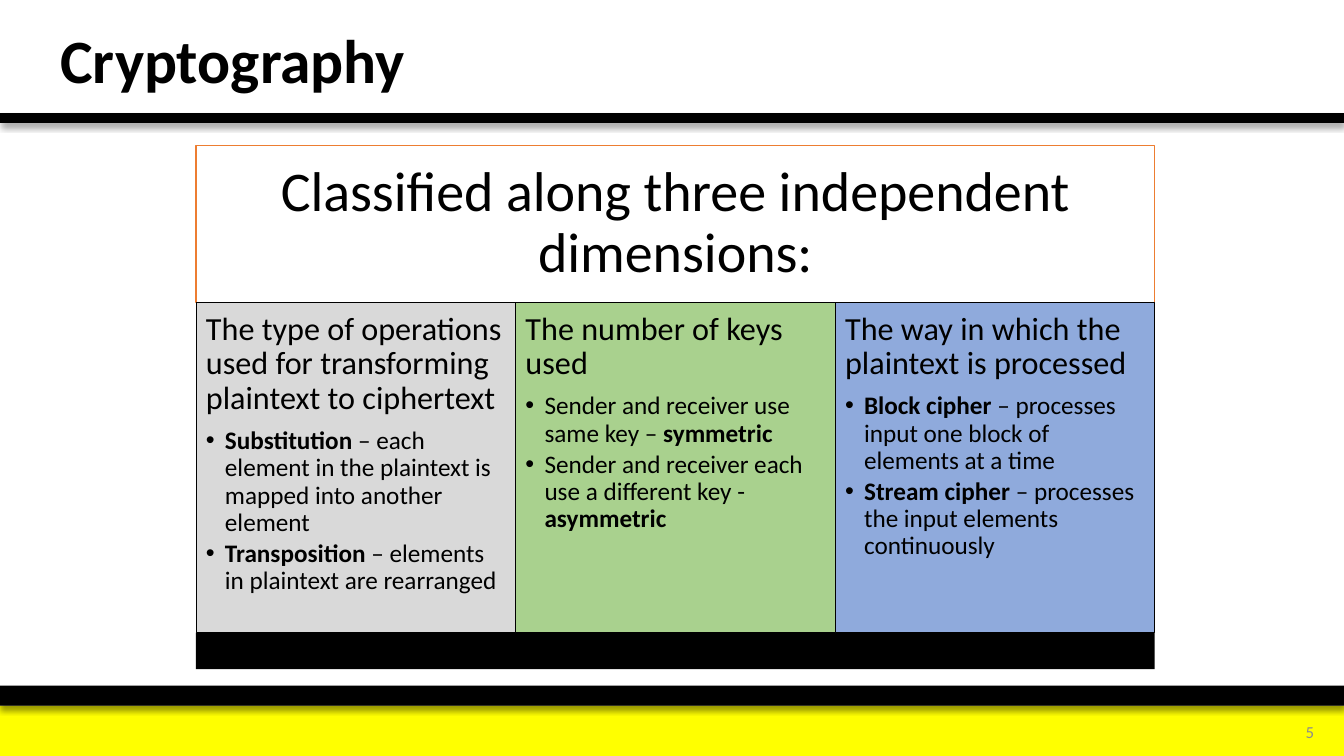
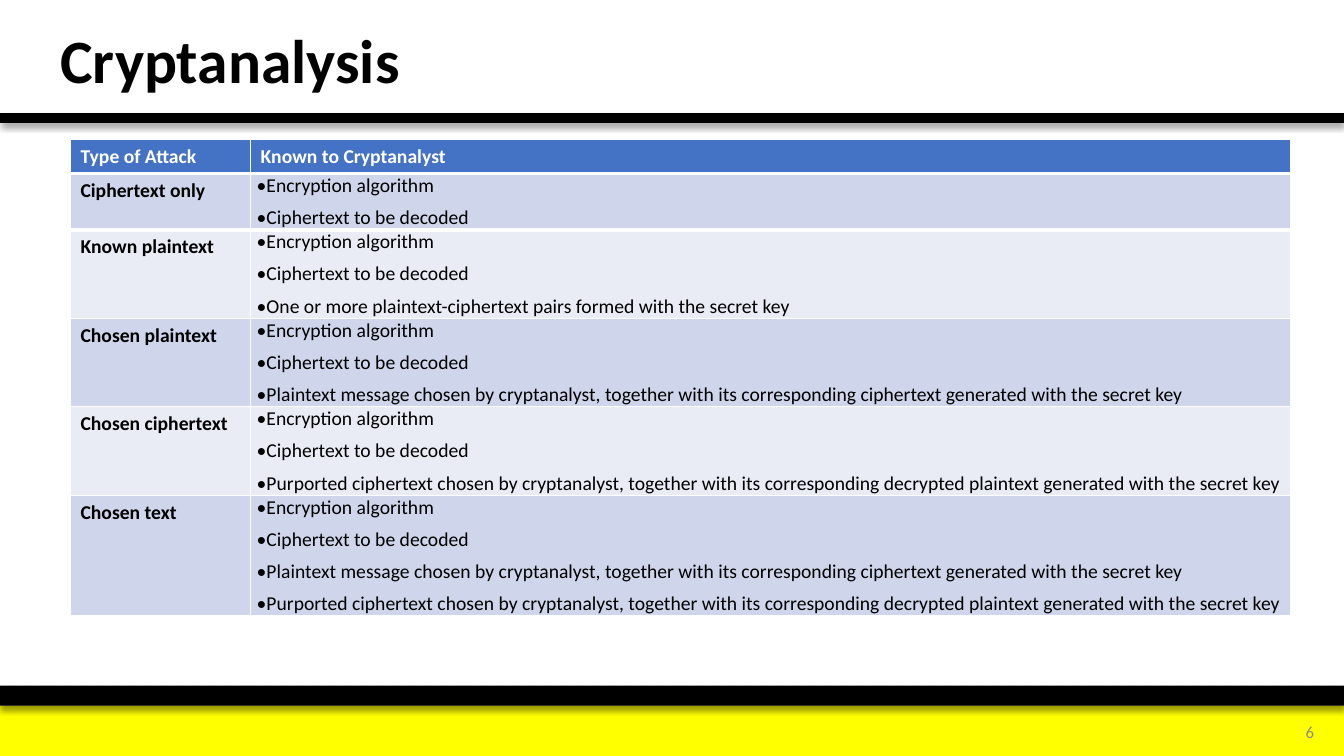
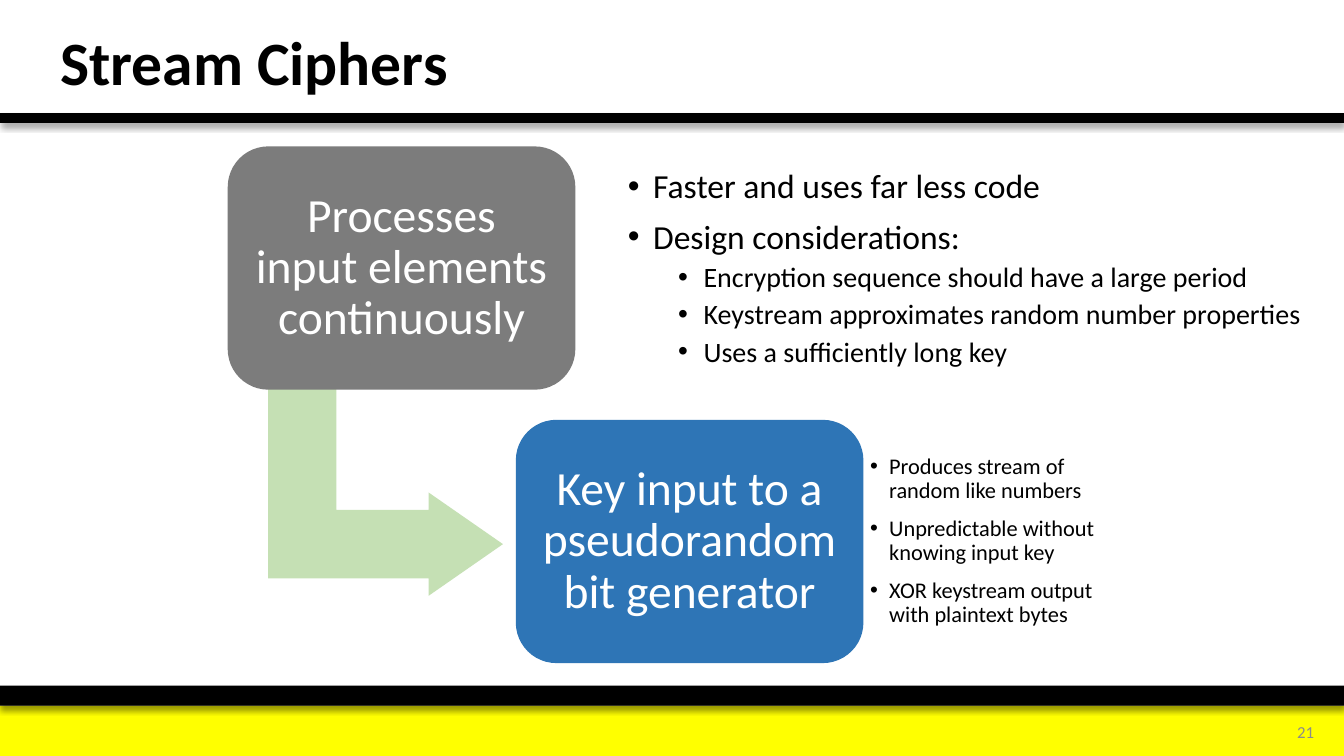
from lxml.etree import SubElement
from pptx import Presentation
from pptx.dml.color import RGBColor
from pptx.enum.shapes import MSO_SHAPE
from pptx.enum.text import MSO_ANCHOR, MSO_AUTO_SIZE, PP_ALIGN
from pptx.oxml import parse_xml
from pptx.oxml.ns import nsdecls, qn
from pptx.util import Cm, Pt

# Colours and font
FONT = "Calibri"
BLACK = RGBColor(0x00, 0x00, 0x00)
WHITE = RGBColor(0xFF, 0xFF, 0xFF)
YELLOW = RGBColor(0xFF, 0xFF, 0x00)
ORANGE = RGBColor(0xED, 0x7D, 0x31)
NUMBER_GREY = RGBColor(0x8C, 0x8C, 0x8C)
BOX_GREY = RGBColor(0x7C, 0x7C, 0x7C)
BOX_BLUE = RGBColor(0x2E, 0x75, 0xB6)
ARROW_GREEN = RGBColor(0xC5, 0xE0, 0xB4)
COLUMN_GREY = RGBColor(0xD9, 0xD9, 0xD9)
COLUMN_GREEN = RGBColor(0xA9, 0xD1, 0x8E)
COLUMN_BLUE = RGBColor(0x8F, 0xAA, 0xDC)
HEADER_BLUE = RGBColor(0x44, 0x72, 0xC4)
ROW_DARK = RGBColor(0xCF, 0xD5, 0xEA)
ROW_LIGHT = RGBColor(0xE9, 0xEB, 0xF5)

SLIDE_WIDTH, SLIDE_HEIGHT = 33.87, 19.05
CELL_INSETS = (0.25, 0.13, 0.25, 0.13)


def style(size, color=BLACK, bold=False, bullet=None, **paragraph):
    """Describe a paragraph; bullet is its (text indent, hang) in cm."""
    return {
        "font": {"name": FONT, "size": Pt(size), "bold": bold},
        "color": color,
        "bullet": bullet,
        "paragraph": paragraph,
    }


# Text styles
TITLE = style(44, bold=True, line_spacing=0.9, alignment=PP_ALIGN.LEFT)
NUMBER = style(12, NUMBER_GREY, alignment=PP_ALIGN.RIGHT)
BANNER = style(40, line_spacing=0.9, alignment=PP_ALIGN.CENTER)
COLUMN_HEAD = style(23, line_spacing=0.9, space_after=Pt(8), alignment=PP_ALIGN.LEFT)
COLUMN_ITEM = style(18, bullet=(0.48, 0.48), line_spacing=0.9,
                    space_after=Pt(2.7), alignment=PP_ALIGN.LEFT)
TABLE_HEAD = style(14, WHITE, bold=True)
ATTACK = style(14, bold=True)
KNOWN = style(14, space_before=Pt(3), space_after=Pt(3))
STEP = style(34, WHITE, line_spacing=0.9, alignment=PP_ALIGN.CENTER)
STEP_NOTE = style(16, bullet=(0.48, 0.48), line_spacing=0.9, space_after=Pt(9.9))
POINT = style(24, bullet=(0.64, 0.64), line_spacing=0.9, space_before=Pt(10))
SUBPOINT = style(20, bullet=(1.91, 0.64), line_spacing=0.9, space_before=Pt(5), level=1)

# Content
COLUMNS = [
    (COLUMN_GREY, "The type of operations used for transforming plaintext to ciphertext", [
        "*Substitution* – each element in the plaintext is mapped into another element",
        "*Transposition* – elements in plaintext are rearranged"]),
    (COLUMN_GREEN, "The number of keys used", [
        "Sender and receiver use same key – *symmetric*",
        "Sender and receiver each use a different key - *asymmetric*"]),
    (COLUMN_BLUE, "The way in which the plaintext is processed", [
        "*Block cipher *– processes input one block of elements at a time",
        "*Stream cipher *– processes the input elements continuously"]),
]

ALWAYS_KNOWN = ["•Encryption algorithm", "•Ciphertext to be decoded"]
PAIRS = "•One or more plaintext-ciphertext pairs formed with the secret key"
CHOSEN_PLAIN = ("•Plaintext message chosen by cryptanalyst, together with its "
                "corresponding ciphertext generated with the secret key")
CHOSEN_CIPHER = ("•Purported ciphertext chosen by cryptanalyst, together with its "
                 "corresponding decrypted plaintext generated with the secret key")
ATTACKS = [
    ("Ciphertext only", []),
    ("Known plaintext", [PAIRS]),
    ("Chosen plaintext", [CHOSEN_PLAIN]),
    ("Chosen ciphertext", [CHOSEN_CIPHER]),
    ("Chosen text", [CHOSEN_PLAIN, CHOSEN_CIPHER]),
]


# Text helpers
def set_all(target, values):
    for name, value in values.items():
        setattr(target, name, value)


def add_bullet(paragraph, indent, hang):
    properties = paragraph._p.get_or_add_pPr()
    properties.set("marL", str(Cm(indent)))
    properties.set("indent", str(-Cm(hang)))
    SubElement(properties, qn("a:buFont"), typeface="Arial")
    SubElement(properties, qn("a:buChar"), char="•")


def write(frame, lines):
    """Write (text, style) lines; words between asterisks are bold."""
    for index, (text, look) in enumerate(lines):
        paragraph = frame.add_paragraph() if index else frame.paragraphs[0]
        if look["bullet"]:
            add_bullet(paragraph, *look["bullet"])
        set_all(paragraph, look["paragraph"])
        if index == 0:
            paragraph.space_before = Pt(0)
        for position, part in enumerate(text.split("*")):
            if part:
                run = paragraph.add_run()
                run.text = part
                set_all(run.font, look["font"])
                run.font.color.rgb = look["color"]
                if position % 2:
                    run.font.bold = True


def fill_frame(frame, lines, insets=CELL_INSETS, anchor=MSO_ANCHOR.TOP):
    left, top, right, bottom = map(Cm, insets)
    set_all(frame, {
        "word_wrap": True, "auto_size": MSO_AUTO_SIZE.NONE, "vertical_anchor": anchor,
        "margin_left": left, "margin_top": top,
        "margin_right": right, "margin_bottom": bottom,
    })
    write(frame, lines)


# Shape helpers
def place(shape, left, top, width, height):
    set_all(shape, {"left": Cm(left), "top": Cm(top),
                    "width": Cm(width), "height": Cm(height)})


def add_block(slide, box, fill=None, line=None, kind=MSO_SHAPE.RECTANGLE):
    block = slide.shapes.add_shape(kind, *map(Cm, box))
    block.shadow.inherit = False
    if fill is None:
        block.fill.background()
    else:
        block.fill.solid()
        block.fill.fore_color.rgb = fill
    if line is None:
        block.line.fill.background()
    else:
        block.line.color.rgb = line
        block.line.width = Pt(0.75)
    return block


def drop_shadow(block):
    effects = block._element.spPr.find(qn("a:effectLst"))
    shadow = SubElement(effects, qn("a:outerShdw"), blurRad=str(Pt(4)),
                        dist=str(Pt(3)), dir="5400000", algn="t", rotWithShape="0")
    color = SubElement(shadow, qn("a:srgbClr"), val=str(BLACK))
    SubElement(color, qn("a:alpha"), val="40000")


def add_text(slide, box, lines, insets=CELL_INSETS):
    textbox = slide.shapes.add_textbox(*map(Cm, box))
    fill_frame(textbox.text_frame, lines, insets, MSO_ANCHOR.MIDDLE)


def add_step(slide, left, top, text, fill):
    step = add_block(slide, (left, top, 8.76, 6.13), fill, kind=MSO_SHAPE.ROUNDED_RECTANGLE)
    fill_frame(step.text_frame, [(text, STEP)], (0.35,) * 4, MSO_ANCHOR.MIDDLE)


def add_border(cell, side, points):
    border = parse_xml(
        f'<a:{side} {nsdecls("a")} w="{Pt(points)}"><a:solidFill>'
        f'<a:srgbClr val="{WHITE}"/></a:solidFill></a:{side}>')
    properties = cell._tc.get_or_add_tcPr()
    properties.insert(len(properties.findall(qn("a:lnT"))), border)


def fill_cell(cell, lines, fill, insets=CELL_INSETS):
    cell.fill.solid()
    cell.fill.fore_color.rgb = fill
    left, top, right, bottom = map(Cm, insets)
    set_all(cell, {"margin_left": left, "margin_top": top,
                   "margin_right": right, "margin_bottom": bottom})
    write(cell.text_frame, lines)


# Frame shared by all slides
def add_framed_slide(deck, layout_name, title, number, title_top=0.18):
    slide = deck.slides.add_slide(deck.slide_layouts.get_by_name(layout_name))
    add_block(slide, (0, 17.78, SLIDE_WIDTH, 1.27), YELLOW)
    for top, height in [(17.28, 0.5), (2.85, 0.25)]:
        drop_shadow(add_block(slide, (0, top, SLIDE_WIDTH, height), BLACK))
    add_text(slide, (31.44, 17.93, 1.93, 1.02), [(number, NUMBER)])
    place(slide.shapes.title, 1.27, title_top, 24.5, 2.84)
    fill_frame(slide.shapes.title.text_frame, [(title, TITLE)], anchor=MSO_ANCHOR.MIDDLE)
    return slide


# Slides
def build_cryptography(deck):
    slide = add_framed_slide(deck, "Title Only", "Cryptography", "5")
    left, width, column_top, column_height = 4.94, 24.16, 7.62, 8.32
    banner = add_block(slide, (left, 3.66, width, 3.96), line=ORANGE)
    fill_frame(banner.text_frame,
               [("Classified along three independent dimensions:", BANNER)],
               (0.43,) * 4, MSO_ANCHOR.MIDDLE)
    column_width = width / len(COLUMNS)
    for index, (fill, heading, items) in enumerate(COLUMNS):
        box = (left + index * column_width, column_top, column_width, column_height)
        column = add_block(slide, box, fill, BLACK)
        lines = [(heading, COLUMN_HEAD)] + [(item, COLUMN_ITEM) for item in items]
        fill_frame(column.text_frame, lines, (0.25,) * 4)
    add_block(slide, (left, column_top + column_height, width, 0.92), BLACK)


def build_cryptanalysis(deck):
    slide = add_framed_slide(deck, "Title Only", "Cryptanalysis", "6")
    widths = (4.54, 26.2)
    table = slide.shapes.add_table(len(ATTACKS) + 1, 2, Cm(1.78), Cm(3.51),
                                   Cm(sum(widths)), Cm(11.9)).table
    for column, width in zip(table.columns, widths):
        column.width = Cm(width)
    table.rows[0].height = Cm(0.84)
    for index, heading in enumerate(["Type of Attack", "Known to Cryptanalyst"]):
        fill_cell(table.cell(0, index), [(heading, TABLE_HEAD)], HEADER_BLUE)
        add_border(table.cell(0, index), "lnB", 3)
        add_border(table.cell(1, index), "lnT", 3)
    for row, (attack, extra) in enumerate(ATTACKS, 1):
        known = ALWAYS_KNOWN + extra
        fill = ROW_DARK if row % 2 else ROW_LIGHT
        table.rows[row].height = Cm(0.81 * len(known) - 0.2)
        fill_cell(table.cell(row, 0), [(attack, ATTACK)], fill)
        fill_cell(table.cell(row, 1), [(item, KNOWN) for item in known], fill,
                  (0.15, 0, 0.15, 0))


def build_stream_ciphers(deck):
    slide = add_framed_slide(deck, "Title and Content", "Stream Ciphers", "21", 0.23)
    arrow = add_block(slide, (7.11, 9.45, 5.21, 5.92), ARROW_GREEN,
                      kind=MSO_SHAPE.BENT_UP_ARROW)
    arrow.rotation = 90
    for index, value in enumerate((0.33, 0.25, 0.36)):
        arrow.adjustments[index] = value
    add_step(slide, 5.74, 3.69, "Processes input elements continuously", BOX_GREY)
    add_step(slide, 13, 10.58, "Key input to a pseudorandom bit generator", BOX_BLUE)
    add_text(slide, (21.75, 11.17, 6.38, 4.95), [
        ("Produces stream of random like numbers", STEP_NOTE),
        ("Unpredictable without knowing input key", STEP_NOTE),
        ("XOR keystream output with plaintext bytes", STEP_NOTE),
    ], (0.18,) * 4)
    considerations = slide.placeholders[1]
    place(considerations, 15.57, 4.15, 17.83, 5.61)
    fill_frame(considerations.text_frame, [
        ("Faster and uses far less code", POINT),
        ("Design considerations:", POINT),
        ("Encryption sequence should have a large period", SUBPOINT),
        ("Keystream approximates random number properties", SUBPOINT),
        ("Uses a sufficiently long key", SUBPOINT),
    ])


def main():
    deck = Presentation()
    deck.slide_width, deck.slide_height = Cm(SLIDE_WIDTH), Cm(SLIDE_HEIGHT)
    build_cryptography(deck)
    build_cryptanalysis(deck)
    build_stream_ciphers(deck)
    deck.save("out.pptx")


if __name__ == "__main__":
    main()
